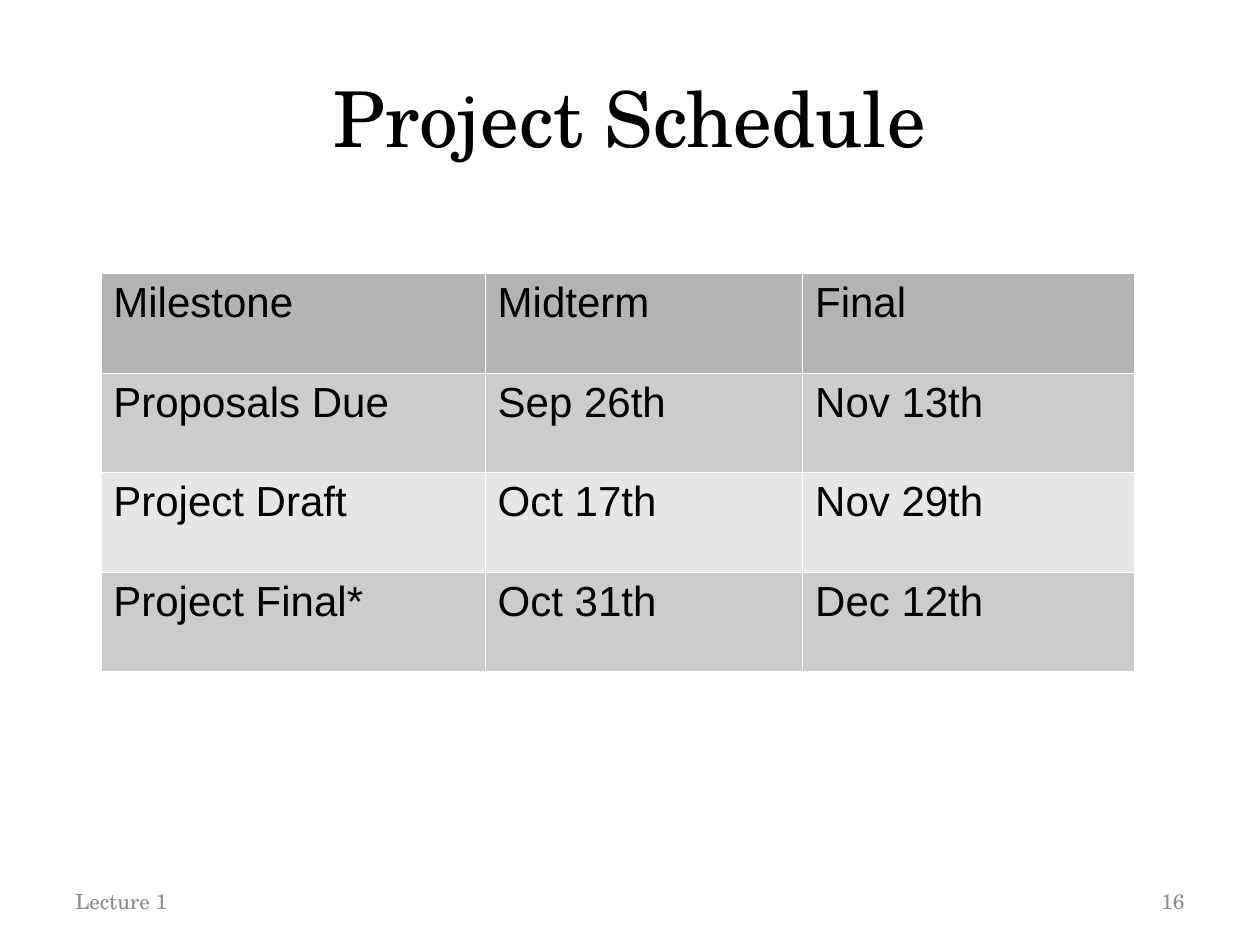
from lxml.etree import SubElement
from pptx import Presentation
from pptx.dml.color import RGBColor
from pptx.enum.text import MSO_ANCHOR, PP_ALIGN
from pptx.oxml.ns import qn
from pptx.util import Inches, Pt

TITLE = "Project Schedule"
ROWS = [
    ("Milestone", "Midterm", "Final"),
    ("Proposals Due", "Sep 26th", "Nov 13th"),
    ("Project Draft", "Oct 17th", "Nov 29th"),
    ("Project Final*", "Oct 31th", "Dec 12th"),
]
FILLS = ["B3B3B3", "CCCCCC", "E6E6E6", "CCCCCC"]
COLS = [3.05, 2.52, 2.63]
HIGH = 0.79
NOTES = [("Lecture 1", 0.5, PP_ALIGN.LEFT), ("16", 7.17, PP_ALIGN.RIGHT)]
SERIF = "TeX Gyre Schola"
HEAD = {"name": SERIF, "size": Pt(44), "bold": False}
BODY = {"name": "Arial", "size": Pt(24), "bold": False}
FOOT = {"name": SERIF, "size": Pt(12), "bold": False}


def paint(target, color):
    """Set a font or fill colour from a hex string."""
    target.rgb = RGBColor.from_string(color)


def write(frame, text, form, color, align):
    """Put one formatted line into a text frame."""
    frame.text = text
    frame.word_wrap = True
    line = frame.paragraphs[0]
    line.alignment = align
    font = line.runs[0].font
    for key, value in form.items():
        setattr(font, key, value)
    paint(font.color, color)


def edge(cell, color, width):
    """Draw a thin line on all four sides of a cell."""
    props = cell._tc.get_or_add_tcPr()
    for side in "LRTB":
        line = SubElement(props, qn(f"a:ln{side}"), w=str(Pt(width)))
        solid = SubElement(line, qn("a:solidFill"))
        SubElement(solid, qn("a:srgbClr"), val=color)


def place(shape, *box):
    """Move and size a shape in inches."""
    for key, value in zip(("left", "top", "width", "height"), box):
        setattr(shape, key, Inches(value))


def main():
    """Build the schedule slide."""
    deck = Presentation()
    deck.slide_width, deck.slide_height = Inches(10), Inches(7.5)
    slide = deck.slides.add_slide(deck.slide_layouts[5])

    title = slide.shapes.title
    place(title, 0.5, 0.3, 9, 1.25)
    write(title.text_frame, TITLE, HEAD, "000000", PP_ALIGN.CENTER)
    title.text_frame.vertical_anchor = MSO_ANCHOR.MIDDLE

    for text, left, align in NOTES:
        box = slide.shapes.add_textbox(*map(Inches, (left, 6.95, 2.33, 0.4)))
        write(box.text_frame, text, FOOT, "8B8B8B", align)
        box.text_frame.vertical_anchor = MSO_ANCHOR.MIDDLE

    area = map(Inches, (0.8, 2.17, sum(COLS), HIGH * len(ROWS)))
    table = slide.shapes.add_table(len(ROWS), len(COLS), *area).table
    table.first_row = table.horz_banding = False
    for col, width in zip(table.columns, COLS):
        col.width = Inches(width)
    for row, words, color in zip(table.rows, ROWS, FILLS):
        row.height = Inches(HIGH)
        for cell, text in zip(row.cells, words):
            write(cell.text_frame, text, BODY, "000000", PP_ALIGN.LEFT)
            edge(cell, "FFFFFF", 0.06)
            cell.fill.solid()
            paint(cell.fill.fore_color, color)

    deck.save("out.pptx")


if __name__ == "__main__":
    main()
